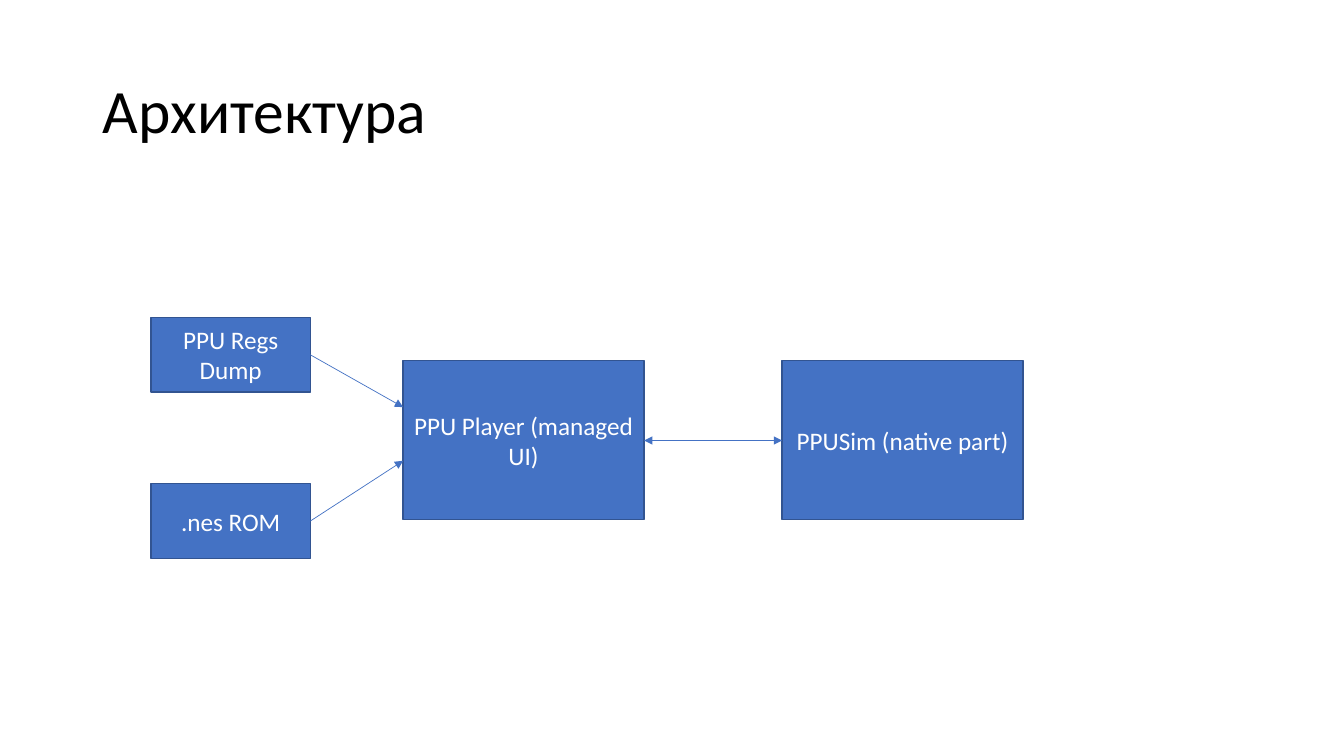
import pptx
import pptx.util
import pptx.dml.color
import pptx.enum.shapes
import pptx.enum.text
import pptx.oxml.ns
import lxml.etree

Cm, Pt = pptx.util.Cm, pptx.util.Pt
Align = pptx.enum.text.PP_ALIGN
hues = {"black": "000000", "white": "FFFFFF", "blue": "4472C4", "edge": "325491"}


def color(name):
    return pptx.dml.color.RGBColor.from_string(hues[name])


def write(shape, text, size, hue, align, space):
    """Put one middle-anchored paragraph of text in the shape."""
    frame = shape.text_frame
    frame.text = text
    look = {
        "word_wrap": True,
        "auto_size": pptx.enum.text.MSO_AUTO_SIZE.NONE,
        "vertical_anchor": pptx.enum.text.MSO_ANCHOR.MIDDLE,
    }
    for key, value in look.items():
        setattr(frame, key, value)
    para = frame.paragraphs[0]
    para.alignment, para.line_spacing = align, space
    font = para.runs[0].font
    for key, value in {"name": "Calibri", "size": Pt(size), "bold": False}.items():
        setattr(font, key, value)
    font.color.rgb = color(hue)


deck = pptx.Presentation()
deck.slide_width, deck.slide_height = Cm(33.87), Cm(19.05)
slide = deck.slides.add_slide(deck.slide_layouts[5])
shapes = slide.shapes

title = shapes.title
place = {"left": 2.34, "top": 1.02, "width": 29.21, "height": 3.68}
for key, value in place.items():
    setattr(title, key, Cm(value))
write(title, "Архитектура", 44, "black", Align.LEFT, 0.9)

# Large boxes are the programs, small ones their input files
large, small = (6.07, 4.01), (4.01, 1.88)
boxes = [
    ("PPU Player (managed UI)", 10.16, 9.09, large),
    ("PPUSim (native part)", 19.71, 9.09, large),
    ("PPU Regs Dump", 3.81, 8, small),
    (".nes ROM", 3.81, 12.19, small),
]
for text, left, top, (wide, high) in boxes:
    box = shapes.add_shape(
        pptx.enum.shapes.MSO_SHAPE.RECTANGLE, Cm(left), Cm(top), Cm(wide), Cm(high)
    )
    box.shadow.inherit = False
    box.fill.solid()
    box.fill.fore_color.rgb = color("blue")
    box.line.color.rgb = color("edge")
    box.line.width = Pt(1)
    write(box, text, 18, "white", Align.CENTER, 1.0)

# Start point, end point, ends that carry an arrowhead
links = [
    ((7.82, 8.94), (10.16, 10.26), ["tailEnd"]),
    ((7.82, 13.13), (10.16, 11.61), ["tailEnd"]),
    ((19.71, 11.1), (16.23, 11.1), ["headEnd", "tailEnd"]),
]
for start, end, tips in links:
    link = shapes.add_connector(
        pptx.enum.shapes.MSO_CONNECTOR.STRAIGHT, *map(Cm, start + end)
    )
    link.line.color.rgb = color("blue")
    link.line.width = Pt(0.5)
    props = link.element.spPr
    line = props.find(pptx.oxml.ns.qn("a:ln"))
    for tip in tips:
        lxml.etree.SubElement(line, pptx.oxml.ns.qn(f"a:{tip}"), type="triangle")
    lxml.etree.SubElement(props, pptx.oxml.ns.qn("a:effectLst"))

deck.save("out.pptx")
